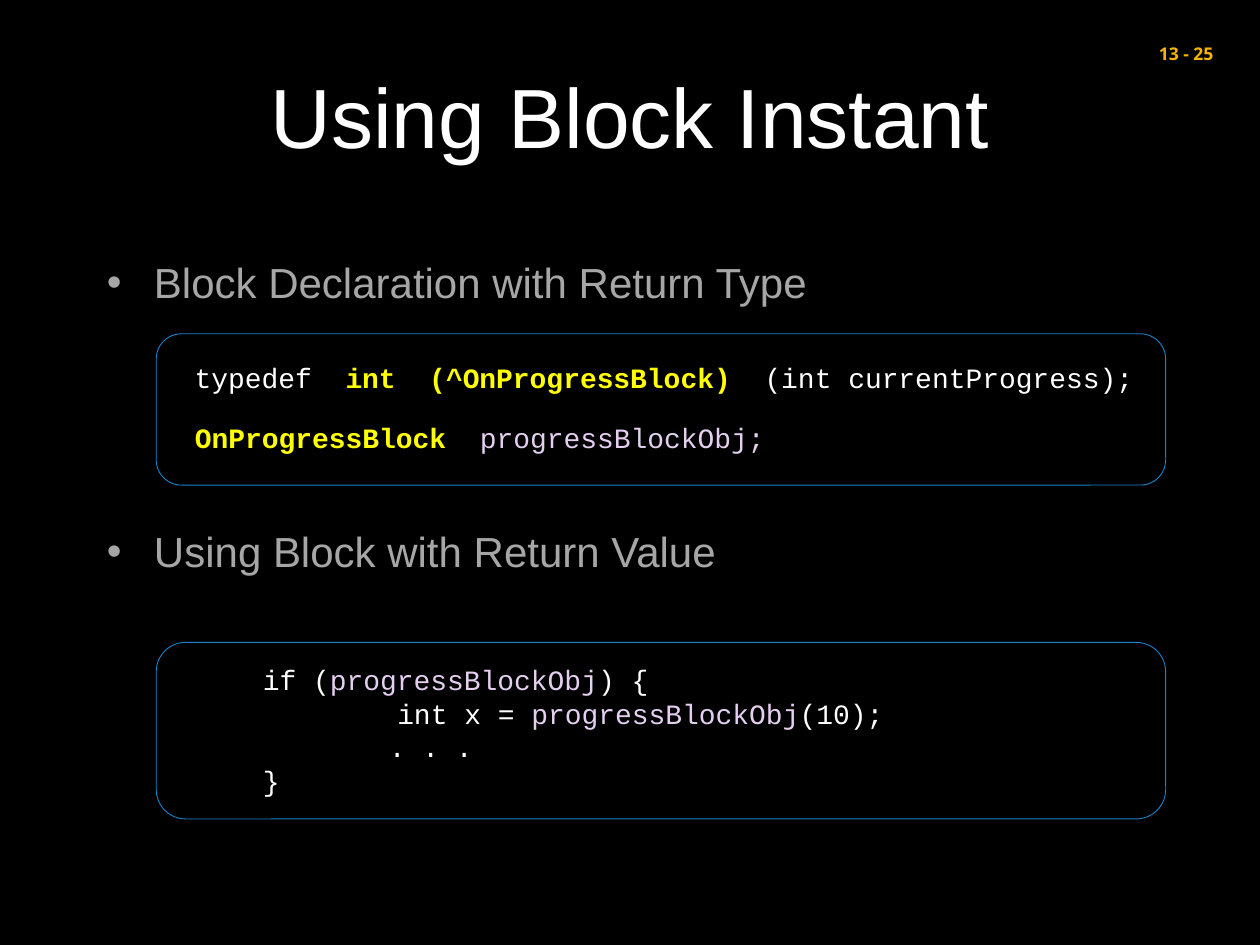
from pptx import Presentation
from pptx.dml.color import RGBColor
from pptx.enum.shapes import MSO_SHAPE
from pptx.enum.text import MSO_ANCHOR, PP_ALIGN
from pptx.util import Cm, Pt

WHITE, YELLOW, LILAC, GREY = "FFFFFF", "FFFF00", "E5CFF1", "A6A6A6"
BLUE, GOLD, BLACK = "1884CD", "F7B500", "000000"
CODE = {"name": "Courier New", "size": Pt(16), "bold": False}
KEY = {**CODE, "bold": True}
HEAD = {"name": "Arial", "size": Pt(48)}
LIST = {"name": "Arial", "size": Pt(24)}
PAGE = {"name": "Open Sans", "size": Pt(10), "bold": True}


def paint(color, code):
    """Set a colour format from a hex string."""
    color.rgb = RGBColor.from_string(code)


def assign(item, values):
    """Set each attribute named in a dict."""
    for name, value in values.items():
        setattr(item, name, value)


def place(item, box):
    """Move and size an item, in centimetres."""
    assign(item, dict(zip(("left", "top", "width", "height"), map(Cm, box))))


def indent(para, left, first=0):
    """Set the left margin and first-line indent, in centimetres."""
    props = para._p.get_or_add_pPr()
    props.set("marL", str(Cm(left)))
    props.set("indent", str(Cm(first)))


def write(frame, lines, form=None):
    """Write lines of (text, font, colour) runs and return the paragraphs."""
    for num, runs in enumerate(lines):
        para = frame.add_paragraph() if num else frame.paragraphs[0]
        assign(para, form or {})
        for text, font, code in runs:
            run = para.add_run()
            run.text = text
            assign(run.font, font)
            paint(run.font.color, code)
    return frame.paragraphs


def label(slide, box, lines, form=None):
    """Add a wrapped text box and return its paragraphs."""
    item = slide.shapes.add_textbox(*map(Cm, box))
    item.text_frame.word_wrap = True
    return write(item.text_frame, lines, form)


def panel(slide, top, height):
    """Add a rounded outline around a code sample."""
    item = slide.shapes.add_shape(
        MSO_SHAPE.ROUNDED_RECTANGLE, *map(Cm, (3.15, top, 20.35, height)))
    item.shadow.inherit = False
    item.fill.background()
    paint(item.line.color, BLUE)
    item.line.width = Pt(0.5)


def topics(slide):
    """Fill the title and the bullet list."""
    title, body = slide.shapes.title, slide.placeholders[1]
    place(title, (1.9, 0.33, 21.6, 3.96))
    title.text_frame.vertical_anchor = MSO_ANCHOR.MIDDLE
    write(title.text_frame, [[("Using Block Instant", HEAD, WHITE)]],
          {"alignment": PP_ALIGN.CENTER})
    place(body, (1.9, 4.85, 21.6, 12.17))
    names = "Block Declaration with Return Type", "Using Block with Return Value"
    paras = write(body.text_frame, [[(name, LIST, GREY)] for name in names],
                  {"line_spacing": 1.2})
    for para, gap in zip(paras, (20, 119)):
        para.space_before = Pt(gap)
        indent(para, 0.95, -0.95)


def samples(slide):
    """Add both code samples with their outlines."""
    label(slide, (3.15, 7.14, 20.47, 0.94), [[
        ("typedef  ", CODE, WHITE),
        ("int  (^OnProgressBlock)  ", KEY, YELLOW),
        ("(int currentProgress);", CODE, WHITE),
    ]], {"alignment": PP_ALIGN.CENTER})
    label(slide, (3.68, 8.36, 16.81, 0.94), [[
        ("OnProgressBlock  ", KEY, YELLOW),
        ("progressBlockObj;", CODE, LILAC),
    ]])
    call = ("progressBlockObj", CODE, LILAC)
    paras = label(slide, (5.05, 13.23, 16.76, 3), [
        [("if (", CODE, WHITE), call, (") {", CODE, WHITE)],
        [("int x = ", CODE, WHITE), call, ("(10);", CODE, WHITE)],
        [(". . .", CODE, WHITE)],
        [("}", CODE, WHITE)],
    ])
    for para, left in zip(paras, (0, 2.71, 2.54, 0)):
        indent(para, left)
    for top, height in ((6.73, 3.05), (12.95, 3.56)):
        panel(slide, top, height)


def main():
    """Build and save the slide."""
    deck = Presentation()
    assign(deck, {"slide_width": Cm(25.4), "slide_height": Cm(19.05)})
    slide = deck.slides.add_slide(deck.slide_layouts[1])
    slide.background.fill.solid()
    paint(slide.background.fill.fore_color, BLACK)
    topics(slide)
    samples(slide)
    label(slide, (22.12, 0.74, 2.59, 0.69), [[("13 - 25", PAGE, GOLD)]],
          {"alignment": PP_ALIGN.RIGHT})
    deck.save("out.pptx")


main()
